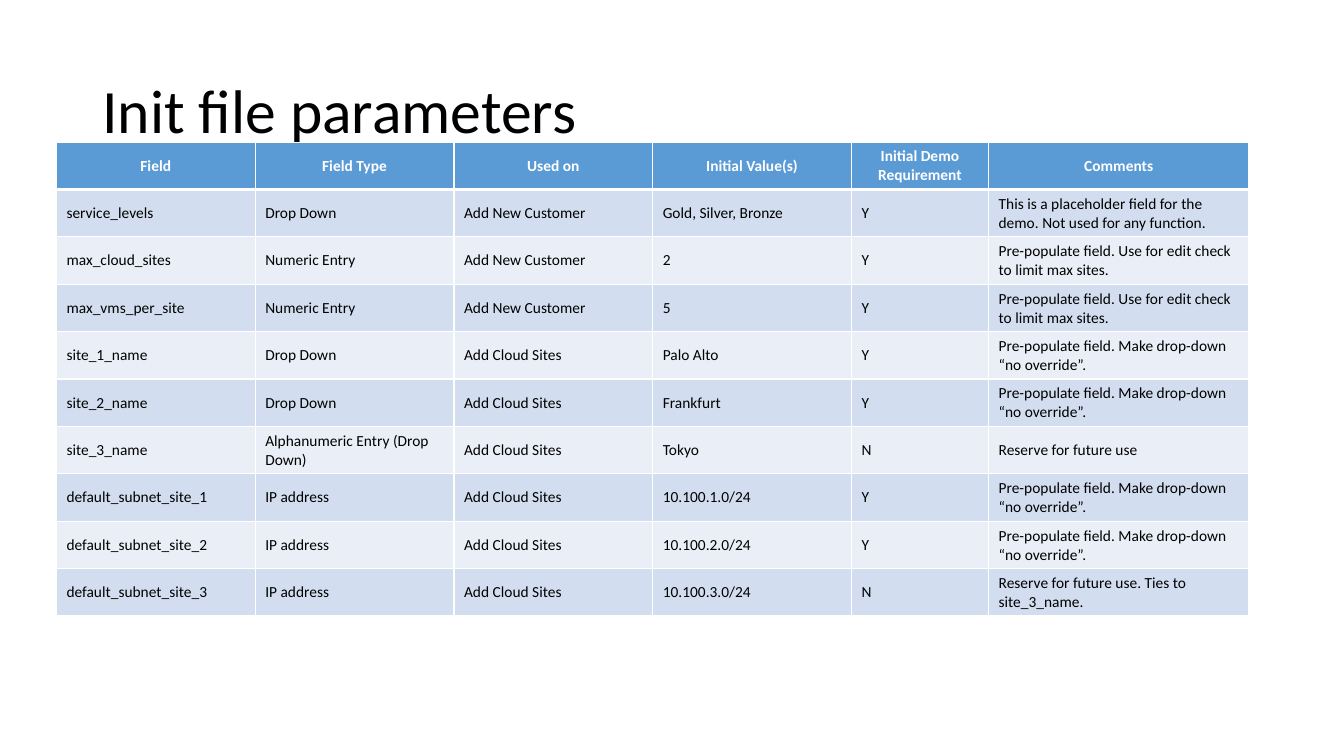
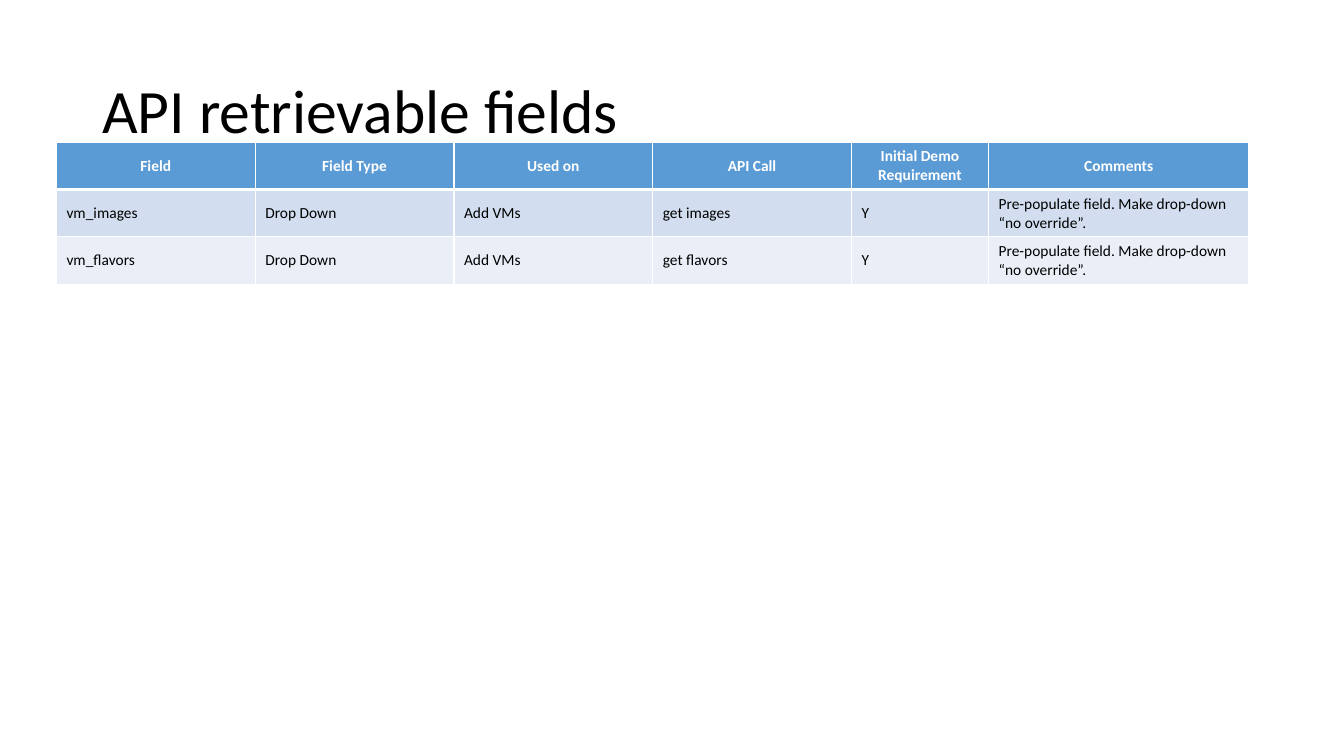
"""Build two slides that list form fields in matching tables."""
from dataclasses import dataclass
from typing import NamedTuple

from lxml import etree
from pptx import Presentation
from pptx import util as u
from pptx.dml.color import RGBColor
from pptx.enum import text
from pptx.oxml.ns import qn

WHITE = RGBColor(0xFF, 0xFF, 0xFF)
BLACK = RGBColor(0x00, 0x00, 0x00)
HEADER_BLUE = RGBColor(0x5B, 0x9B, 0xD5)
BANDS = (RGBColor(0xD2, 0xDE, 0xEF), RGBColor(0xEA, 0xEF, 0xF7))

FONT = "Calibri"
TITLE_SIZE = u.Pt(44)
CELL_SIZE = u.Pt(11)
THIN, THICK = u.Pt(1), u.Pt(3)

SLIDE_WIDTH, SLIDE_HEIGHT = u.Inches(13.33), u.Inches(7.5)
GRID_COLUMNS = 12
COLUMN_SPANS = (2, 2, 2, 2, 1.38, 2.62)

NO_OVERRIDE = "Pre-populate field. Make drop-down “no override”."
LIMIT_SITES = "Pre-populate field. Use for edit check to limit max sites."


class Area(NamedTuple):
    """A rectangle in percent of the slide's width and height."""
    left: float
    top: float
    width: float
    height: float

    def lengths(self) -> tuple[int, int, int, int]:
        """Return left, top, width and height in EMU."""
        return (round(SLIDE_WIDTH * self.left / 100),
                round(SLIDE_HEIGHT * self.top / 100),
                round(SLIDE_WIDTH * self.width / 100),
                round(SLIDE_HEIGHT * self.height / 100))


TITLE_AREA = Area(6.88, 5.32, 86.25, 19.33)
ROW_AREA = Area(4.2, 18.8, 88.73, 6.27)


class Field(NamedTuple):
    """One table row."""
    name: str
    kind: str
    used_on: str
    value: str
    required: str
    comment: str


@dataclass(frozen=True)
class FieldPage:
    """A slide with its title, value heading and fields."""
    title: str
    value_heading: str
    fields: tuple[Field, ...]


PAGES = (
    FieldPage("Init file parameters", "Initial Value(s)", (
        Field("service_levels", "Drop Down", "Add New Customer",
              "Gold, Silver, Bronze", "Y",
              "This is a placeholder field for the demo. "
              "Not used for any function."),
        Field("max_cloud_sites", "Numeric Entry", "Add New Customer",
              "2", "Y", LIMIT_SITES),
        Field("max_vms_per_site", "Numeric Entry", "Add New Customer",
              "5", "Y", LIMIT_SITES),
        Field("site_1_name", "Drop Down", "Add Cloud Sites",
              "Palo Alto", "Y", NO_OVERRIDE),
        Field("site_2_name", "Drop Down", "Add Cloud Sites",
              "Frankfurt", "Y", NO_OVERRIDE),
        Field("site_3_name", "Alphanumeric Entry (Drop Down)",
              "Add Cloud Sites", "Tokyo", "N", "Reserve for future use"),
        Field("default_subnet_site_1", "IP address", "Add Cloud Sites",
              "10.100.1.0/24", "Y", NO_OVERRIDE),
        Field("default_subnet_site_2", "IP address", "Add Cloud Sites",
              "10.100.2.0/24", "Y", NO_OVERRIDE),
        Field("default_subnet_site_3", "IP address", "Add Cloud Sites",
              "10.100.3.0/24", "N",
              "Reserve for future use. Ties to site_3_name."),
    )),
    FieldPage("API retrievable fields", "API Call", (
        Field("vm_images", "Drop Down", "Add VMs",
              "get images", "Y", NO_OVERRIDE),
        Field("vm_flavors", "Drop Down", "Add VMs",
              "get flavors", "Y", NO_OVERRIDE),
    )),
)


def style_text(para, size: int, color: RGBColor, bold: bool = False) -> None:
    """Apply the shared font to every run of a paragraph."""
    for span in para.runs:
        span.font.name = FONT
        span.font.size = size
        span.font.bold = bold
        span.font.color.rgb = color


def add_title(page, title: str) -> None:
    """Add the slide title."""
    box = page.shapes.add_textbox(*TITLE_AREA.lengths())
    frame = box.text_frame
    frame.word_wrap = True
    frame.vertical_anchor = text.MSO_ANCHOR.MIDDLE
    frame.text = title
    para = frame.paragraphs[0]
    para.line_spacing = 0.9
    style_text(para, TITLE_SIZE, BLACK)


def set_borders(cell, top: int, bottom: int) -> None:
    """Draw white borders, thin at the sides; call before filling the cell."""
    properties = cell._tc.get_or_add_tcPr()
    widths = {"a:lnL": THIN, "a:lnR": THIN, "a:lnT": top, "a:lnB": bottom}
    for tag, width in widths.items():
        line = etree.SubElement(properties, qn(tag), w=str(int(width)))
        fill = etree.SubElement(line, qn("a:solidFill"))
        etree.SubElement(fill, qn("a:srgbClr"), val=str(WHITE))


def style_cell(cell, row: int) -> None:
    """Style a cell as heading (row 0) or as part of a banded row."""
    heading = row == 0
    set_borders(cell, top=THICK if row == 1 else THIN,
                bottom=THICK if heading else THIN)
    cell.fill.solid()
    cell.fill.fore_color.rgb = HEADER_BLUE if heading else BANDS[(row - 1) % 2]
    cell.vertical_anchor = text.MSO_ANCHOR.MIDDLE
    para = cell.text_frame.paragraphs[0]
    para.alignment = text.PP_ALIGN.CENTER if heading else text.PP_ALIGN.LEFT
    style_text(para, CELL_SIZE, WHITE if heading else BLACK, heading)


def add_field_table(page, content: FieldPage) -> None:
    """Add the table of fields below the title."""
    headings = Field("Field", "Field Type", "Used on", content.value_heading,
                     "Initial Demo Requirement", "Comments")
    rows = (headings, *content.fields)
    left, top, width, row_height = ROW_AREA.lengths()
    table = page.shapes.add_table(len(rows), len(COLUMN_SPANS), left, top,
                                  width, row_height * len(rows)).table
    for column, span in zip(table.columns, COLUMN_SPANS):
        column.width = round(width * span / GRID_COLUMNS)
    for row, values in enumerate(rows):
        table.rows[row].height = row_height
        for column, value in enumerate(values):
            cell = table.cell(row, column)
            cell.text = value
            style_cell(cell, row)


def build() -> None:
    """Create and save the deck."""
    deck = Presentation()
    deck.slide_width, deck.slide_height = SLIDE_WIDTH, SLIDE_HEIGHT
    blank = deck.slide_layouts[6]
    for content in PAGES:
        page = deck.slides.add_slide(blank)
        add_title(page, content.title)
        add_field_table(page, content)
    deck.save("out.pptx")


build()
